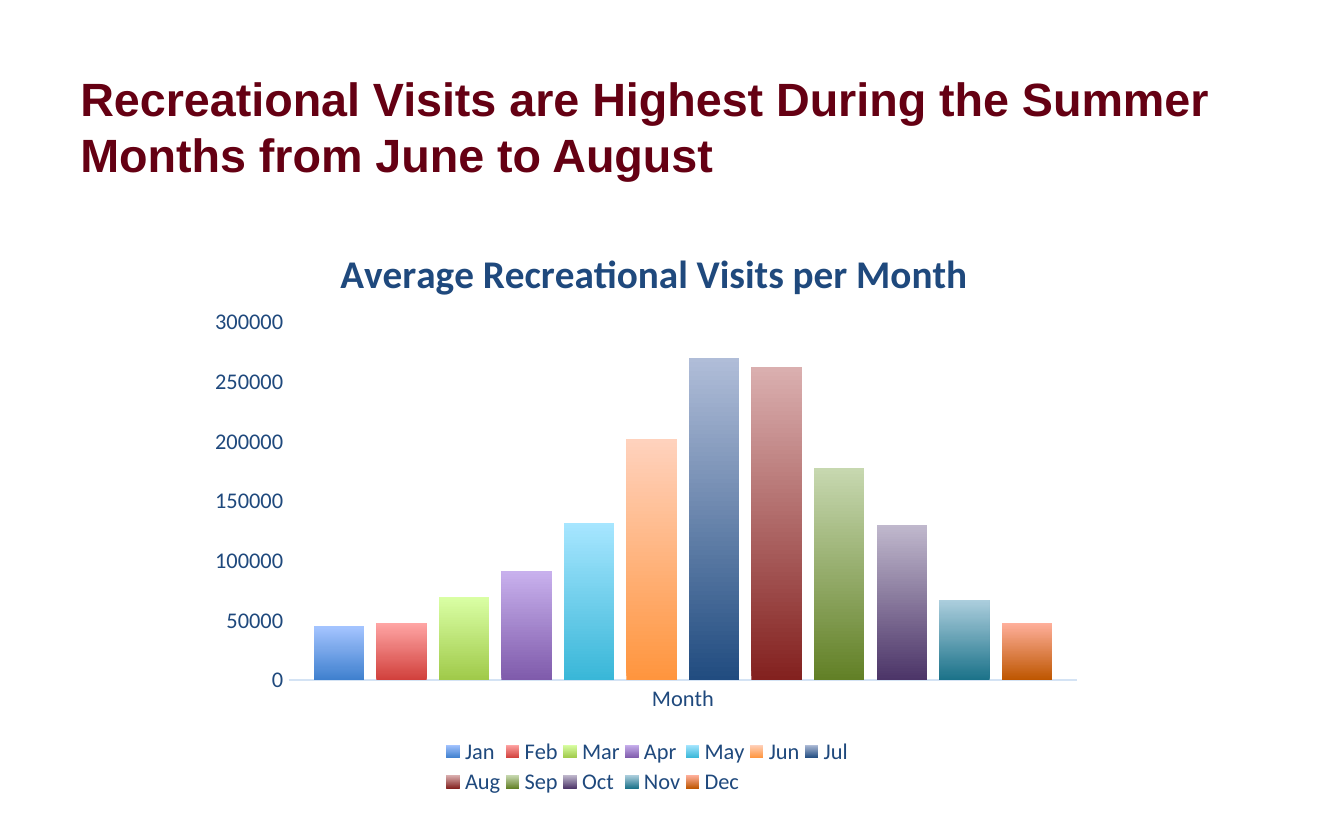
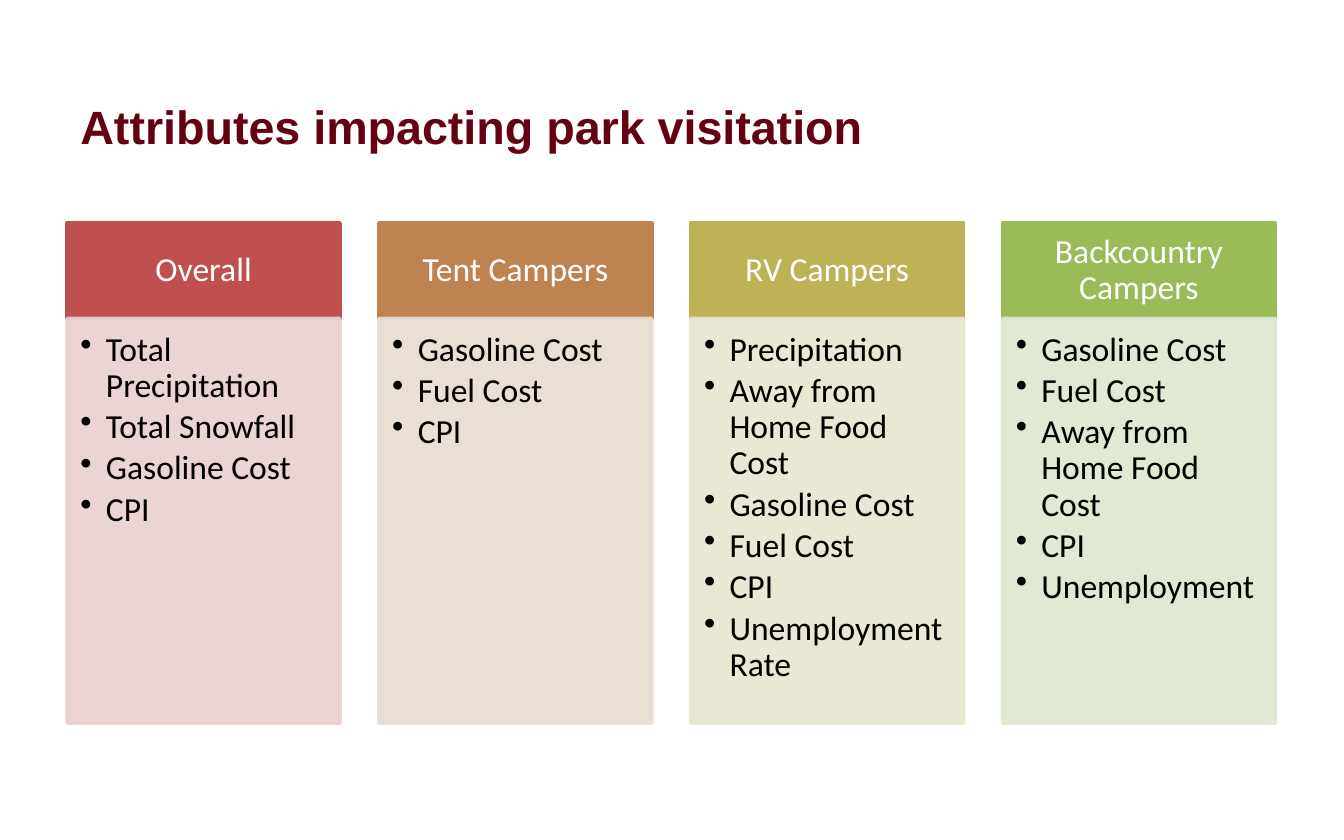
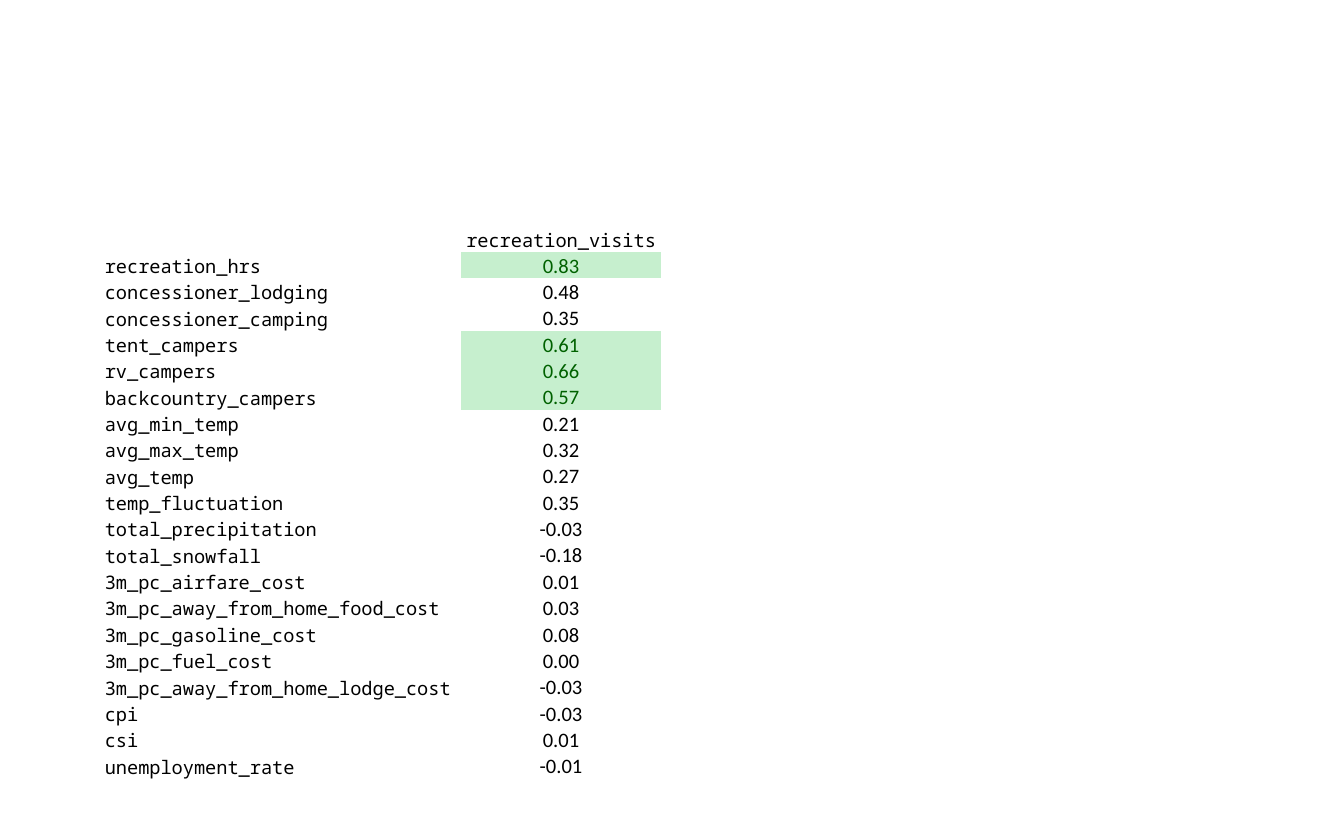
from dataclasses import dataclass

from lxml.etree import SubElement
from pptx import Presentation
from pptx.chart.data import CategoryChartData
from pptx.dml.color import RGBColor as RGB
from pptx.enum.chart import XL_CHART_TYPE as ChartType
from pptx.enum.chart import XL_LEGEND_POSITION as LegendPos
from pptx.enum.chart import XL_TICK_MARK as Tick
from pptx.enum.shapes import MSO_SHAPE as Shape
from pptx.enum.text import MSO_ANCHOR as Anchor
from pptx.enum.text import PP_ALIGN as Align
from pptx.oxml.ns import qn
from pptx.util import Inches, Pt


@dataclass(frozen=True)
class Theme:
    title: str = "650013"
    chart_text: str = "1F497D"
    axis_line: str = "D4E3F4"
    black: str = "000000"
    white: str = "FFFFFF"
    good_text: str = "006100"
    good_fill: str = "C6EFCE"
    heading_font: str = "Arial"
    body_font: str = "Calibri"
    mono_font: str = "Noto Sans Mono"
    title_size: float = 25
    chart_title_size: float = 21
    chart_size: float = 12
    card_size: float = 18
    label_size: float = 10
    value_size: float = 11


T = Theme()
NO_STYLE_NO_GRID = "{2D5ABB26-0587-4C30-8999-92F81FD0307C}"

# month, average visits, bottom colour, top colour
MONTHS = [
    ("Jan", 45000, "3F80CE", "A4C4FF"),
    ("Feb", 48000, "D1403C", "FFA6A5"),
    ("Mar", 70000, "A0CA4A", "DAFFA5"),
    ("Apr", 91000, "7F5BAB", "C8B0ED"),
    ("May", 132000, "39B7D8", "A7E6FF"),
    ("Jun", 202000, "FF953E", "FFD2BD"),
    ("Jul", 270000, "214C80", "B0BDD8"),
    ("Aug", 262000, "83211F", "DAAFAF"),
    ("Sep", 178000, "628026", "C7D8B0"),
    ("Oct", 130000, "4C3568", "C0B8CD"),
    ("Nov", 67000, "1B7289", "ACCEDD"),
    ("Dec", 48000, "BE5600", "FFB09C"),
]

# heading, heading colour, body colour, attributes
CARDS = [
    ("Overall", "C0504D", "E8D0D0",
     ["Total Precipitation", "Total Snowfall", "Gasoline Cost", "CPI"]),
    ("Tent Campers", "BE8351", "E8DCD0",
     ["Gasoline Cost", "Fuel Cost", "CPI"]),
    ("RV Campers", "BDB255", "E7E6D1",
     ["Precipitation", "Away from Home Food Cost", "Gasoline Cost",
      "Fuel Cost", "CPI", "Unemployment Rate"]),
    ("Backcountry Campers", "9BBB59", "DEE7D1",
     ["Gasoline Cost", "Fuel Cost", "Away from Home Food Cost", "CPI",
      "Unemployment"]),
]

CORRELATIONS = [
    ("recreation_hrs", 0.83),
    ("concessioner_lodging", 0.48),
    ("concessioner_camping", 0.35),
    ("tent_campers", 0.61),
    ("rv_campers", 0.66),
    ("backcountry_campers", 0.57),
    ("avg_min_temp", 0.21),
    ("avg_max_temp", 0.32),
    ("avg_temp", 0.27),
    ("temp_fluctuation", 0.35),
    ("total_precipitation", -0.03),
    ("total_snowfall", -0.18),
    ("3m_pc_airfare_cost", 0.01),
    ("3m_pc_away_from_home_food_cost", 0.03),
    ("3m_pc_gasoline_cost", 0.08),
    ("3m_pc_fuel_cost", 0.00),
    ("3m_pc_away_from_home_lodge_cost", -0.03),
    ("cpi", -0.03),
    ("csi", 0.01),
    ("unemployment_rate", -0.01),
]
STRONG = 0.5


def set_all(obj, **values):
    for name, value in values.items():
        setattr(obj, name, value)


def set_font(font, size, color, name=T.body_font, bold=False):
    set_all(font, size=Pt(size), name=name, bold=bold)
    font.color.rgb = RGB.from_string(color)


def set_insets(target, left, top, right, bottom):
    set_all(target, margin_left=Inches(left), margin_top=Inches(top),
            margin_right=Inches(right), margin_bottom=Inches(bottom))


def add_text(p, text, *font):
    r = p.add_run()
    r.text = text
    set_font(r.font, *font)


def add_slide(prs, title=None):
    s = prs.slides.add_slide(prs.slide_layouts[6])
    if title:
        box = s.shapes.add_textbox(Inches(0.5), Inches(0.46), Inches(9), Inches(0.95))
        tf = box.text_frame
        set_all(tf, word_wrap=True, vertical_anchor=Anchor.MIDDLE)
        add_text(tf.paragraphs[0], title, T.title_size, T.title, T.heading_font, True)
    return s


def set_layout(parent, index, inner=False, **fractions):
    """Place a chart part by fractions (x, y, w, h) of the chart's size."""
    for old in parent.findall(qn("c:layout")):
        parent.remove(old)
    layout = parent.makeelement(qn("c:layout"), {})
    parent.insert(index, layout)
    manual = SubElement(layout, qn("c:manualLayout"))
    if inner:
        SubElement(manual, qn("c:layoutTarget"), val="inner")
    for axis in "xy":
        SubElement(manual, qn(f"c:{axis}Mode"), val="edge")
    for name, value in fractions.items():
        SubElement(manual, qn(f"c:{name}"), val=str(value))


def style_axis(axis):
    set_all(axis, has_major_gridlines=False, major_tick_mark=Tick.NONE,
            minor_tick_mark=Tick.NONE)
    set_font(axis.tick_labels.font, T.chart_size, T.chart_text)


def add_visits_chart(s):
    data = CategoryChartData()
    data.categories = ["Month"]
    for month, visits, *_ in MONTHS:
        data.add_series(month, [visits])
    chart = s.shapes.add_chart(ChartType.COLUMN_CLUSTERED, Inches(1.48), Inches(1.51),
                               Inches(6.67), Inches(4.44), data).chart
    set_font(chart.font, T.label_size, T.black)

    chart.has_title = True
    add_text(chart.chart_title.text_frame.paragraphs[0],
             "Average Recreational Visits per Month",
             T.chart_title_size, T.chart_text, T.body_font, True)

    plot = chart.plots[0]
    set_all(plot, gap_width=100, overlap=-24, vary_by_categories=False)
    for series, (_, _, *colors) in zip(plot.series, MONTHS):
        fill = series.format.fill
        fill.gradient()
        fill.gradient_angle = 90
        for stop, position, color in zip(fill.gradient_stops, (0, 1), colors):
            stop.position = position
            stop.color.rgb = RGB.from_string(color)

    style_axis(chart.category_axis)
    line = chart.category_axis.format.line
    line.color.rgb = RGB.from_string(T.axis_line)
    line.width = Pt(0.75)
    style_axis(chart.value_axis)
    set_all(chart.value_axis, minimum_scale=0, maximum_scale=300000, major_unit=50000)
    chart.value_axis.format.line.fill.background()

    chart.has_legend = True
    set_all(chart.legend, position=LegendPos.BOTTOM, include_in_layout=False)
    set_font(chart.legend.font, T.chart_size, T.chart_text)

    root = chart.element
    set_layout(root.xpath("c:chart/c:title")[0], 1, x=0.15, y=0.06)
    set_layout(root.xpath("c:chart/c:plotArea")[0], 0, inner=True,
               x=0.1, y=0.2, w=0.88, h=0.6)
    set_layout(root.xpath("c:chart/c:legend")[0], 1, x=0.27, y=0.89, w=0.46, h=0.11)


def add_panel(s, left, top, width, height, color, opacity=100):
    sp = s.shapes.add_shape(Shape.RECTANGLE, Inches(left), Inches(top),
                            Inches(width), Inches(height))
    sp.shadow.inherit = False
    sp.fill.solid()
    sp.line.width = Pt(2)
    for target in (sp.fill.fore_color, sp.line.color):
        target.rgb = RGB.from_string(color)
    if opacity < 100:
        for clr in sp.element.spPr.iter(qn("a:srgbClr")):
            SubElement(clr, qn("a:alpha"), val=str(opacity * 1000))
    sp.text_frame.word_wrap = True
    return sp.text_frame


def set_bullet(p):
    indent = Inches(0.19)
    pPr = p._p.get_or_add_pPr()
    pPr.set("marL", str(indent))
    pPr.set("indent", str(-indent))
    SubElement(pPr, qn("a:buChar"), char="•")


def add_card(s, left, heading, head_color, body_color, items):
    width = 2.03
    tf = add_panel(s, left, 1.66, width, 0.71, head_color)
    tf.vertical_anchor = Anchor.MIDDLE
    set_insets(tf, 0.14, 0.08, 0.14, 0.08)
    p = tf.paragraphs[0]
    set_all(p, alignment=Align.CENTER, line_spacing=0.9)
    add_text(p, heading, T.card_size, T.white)

    tf = add_panel(s, left, 2.37, width, 3.01, body_color, opacity=90)
    tf.vertical_anchor = Anchor.TOP
    set_insets(tf, 0.1, 0.1, 0.14, 0.16)
    for i, item in enumerate(items):
        p = tf.add_paragraph() if i else tf.paragraphs[0]
        set_all(p, alignment=Align.LEFT, line_spacing=0.9,
                space_after=Pt(0.15 * T.card_size))
        set_bullet(p)
        add_text(p, item, T.card_size, T.black)


def fill_cell(cell, text, font, align=Align.LEFT, anchor=Anchor.MIDDLE, fill=None):
    set_insets(cell, 0.01, 0.01, 0.01, 0)
    cell.vertical_anchor = anchor
    if fill:
        cell.fill.solid()
        cell.fill.fore_color.rgb = RGB.from_string(fill)
    else:
        cell.fill.background()
    p = cell.text_frame.paragraphs[0]
    p.alignment = align
    if text:
        add_text(p, text, *font)
    else:
        SubElement(p._p, qn("a:endParaRPr"), sz=str(font[0] * 100))


def add_correlation_table(s):
    widths, height = (2.66, 1.49), 4.12
    n_rows = len(CORRELATIONS) + 1
    table = s.shapes.add_table(n_rows, 2, Inches(0.77), Inches(1.68),
                               Inches(sum(widths)), Inches(height)).table
    set_all(table, first_row=False, horz_banding=False)
    next(table._tbl.iter(qn("a:tableStyleId"))).text = NO_STYLE_NO_GRID
    for col, width in zip(table.columns, widths):
        col.width = Inches(width)
    for row in table.rows:
        row.height = Inches(height / n_rows)

    label_font = (T.label_size, T.black, T.mono_font)
    fill_cell(table.cell(0, 0), "", label_font)
    fill_cell(table.cell(0, 1), "recreation_visits", label_font, Align.CENTER)
    for i, (name, value) in enumerate(CORRELATIONS, 1):
        strong = value > STRONG
        fill_cell(table.cell(i, 0), name, label_font)
        fill_cell(table.cell(i, 1), f"{value:.2f}",
                  (T.value_size, T.good_text if strong else T.black),
                  Align.CENTER, Anchor.BOTTOM, T.good_fill if strong else None)


def main():
    prs = Presentation()
    set_all(prs, slide_width=Inches(10), slide_height=Inches(6.25))

    s = add_slide(prs, "Recreational Visits are Highest During the Summer "
                       "Months from June to August")
    add_visits_chart(s)

    s = add_slide(prs, "Attributes impacting park visitation")
    for i, card in enumerate(CARDS):
        add_card(s, 0.5 + 2.32 * i, *card)

    add_correlation_table(add_slide(prs))
    prs.save("out.pptx")


if __name__ == "__main__":
    main()
